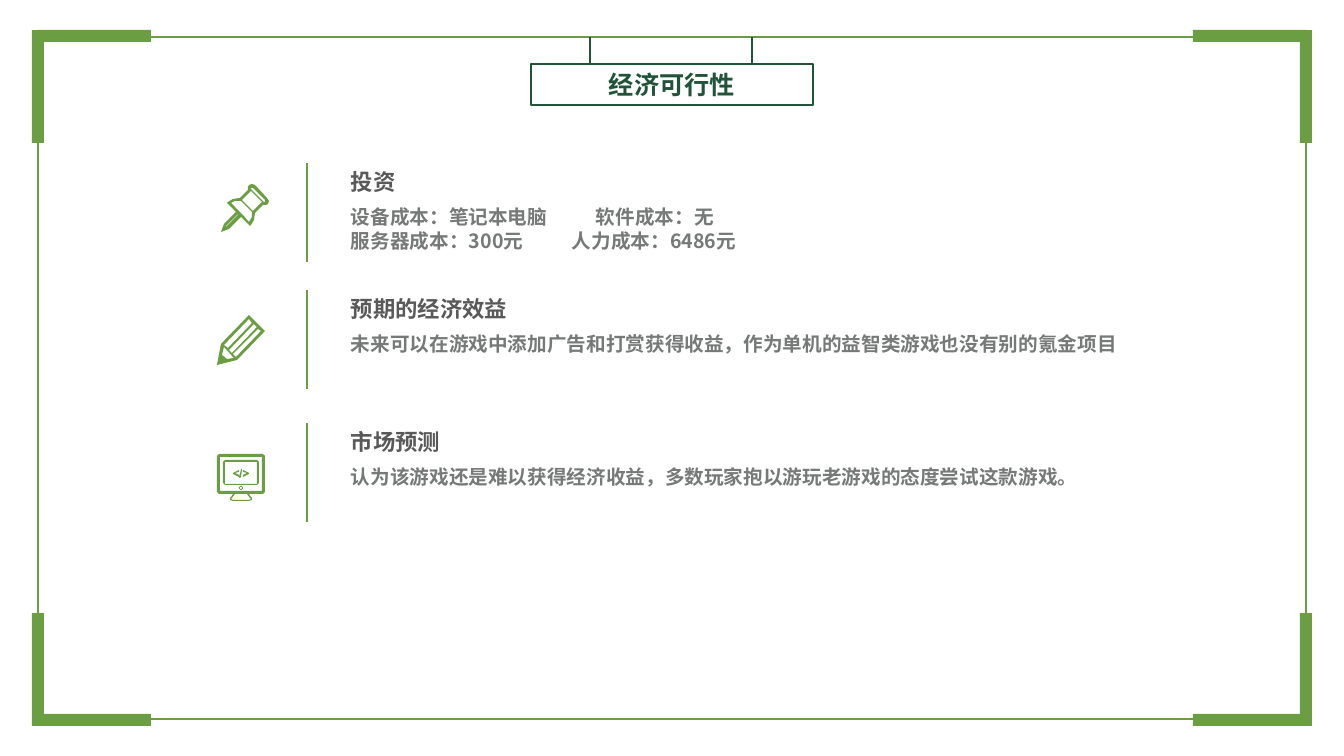
from math import cos, pi, sin

from lxml.etree import SubElement
from pptx import Presentation
from pptx.dml.color import RGBColor
from pptx.enum.shapes import MSO_CONNECTOR as CONNECTOR, MSO_SHAPE as SHAPE
from pptx.enum.text import MSO_ANCHOR as ANCHOR, PP_ALIGN as ALIGN
from pptx.oxml.ns import qn
from pptx.util import Pt


def rounded(left, top, right, bottom, radius):
    """Outline of a rounded rectangle as a list of points."""
    corners = [(right - radius, bottom - radius), (left + radius, bottom - radius),
               (left + radius, top + radius), (right - radius, top + radius)]
    return [(x + radius * cos((quarter + step / 4) * pi / 2),
             y + radius * sin((quarter + step / 4) * pi / 2))
            for quarter, (x, y) in enumerate(corners) for step in range(5)]


# Content
FONT = "Noto Sans CJK SC"
GREEN, DARK_GREEN, HEADING_GREY, BODY_GREY = "6B9D43", "205337", "595959", "757977"
TITLE = "经济可行性"

# Each icon: parts made of outlines, in px from the icon's corner
PIN = [[
    [(34, 29), (42, 21), (45, 21), (47, 20), (48, 17), (46, 14), (34, 1), (31, 0), (28, 1),
     (27, 3), (27, 6), (19, 14), (12, 15), (7, 18), (6, 19), (15, 28), (3, 40), (0, 48),
     (8, 45), (20, 33), (29, 42), (30, 41), (33, 36)],
    [(32, 4), (44, 16), (44, 18), (43, 18), (30, 5), (30, 4)],
    [(32, 27), (21, 16), (30, 7), (41, 18)],
    [(6, 42), (5, 43), (5, 42), (17, 30), (17, 31)],
    [(22, 31), (10, 19), (14, 17), (20, 17), (31, 28), (31, 33), (28, 38)],
]]
PENCIL = [[
    [(48, 16), (32, 0), (4, 29), (0, 50), (20, 45)],
    [(19, 42), (16, 39), (41, 14), (44, 16)],
    [(10, 44), (5, 40), (7, 32), (10, 35), (15, 41), (17, 43)],
    [(40, 12), (15, 38), (12, 35), (37, 9)],
    [(32, 4), (35, 8), (11, 33), (7, 30)],
]]
MONITOR = [
    [rounded(0, 0, 48, 40, 4), rounded(3, 3, 45, 37, 1)],
    [[(16, 40), (14, 43), (13, 44), (13, 46), (16, 47), (32, 47), (35, 46), (35, 44),
      (34, 43), (32, 40)],
     [(18, 40), (15, 44), (14, 45), (16, 46), (32, 46), (34, 45), (33, 44), (30, 40)]],
    [rounded(6, 6, 42, 31, 3), rounded(8, 8, 40, 30, 1)],
    [rounded(22, 32, 26, 36, 2), rounded(23, 33, 25, 35, 1)],
    [[(16, 20), (22, 23), (22, 21), (18, 19), (22, 18), (22, 16), (16, 19)]],
    [[(24, 15), (25, 15), (25, 16), (24, 23), (23, 24), (22, 23), (24, 16)]],
    [[(26, 18), (30, 19), (26, 21), (26, 23), (32, 20), (32, 19), (26, 16)]],
]

# Top, icon, icon corner, heading, body height, body lines with their tab stop
SECTIONS = [
    (163, PIN, (221, 184), "投资", 57,
     [("设备成本：笔记本电脑\t软件成本：无", 245), ("服务器成本：300元\t人力成本：6486元", 221)]),
    (290, PENCIL, (217, 315), "预期的经济效益", 34,
     [("未来可以在游戏中添加广告和打赏获得收益，作为单机的益智类游戏也没有别的氪金项目", 0)]),
    (423, MONITOR, (217, 454), "市场预测", 34,
     [("认为该游戏还是难以获得经济收益，多数玩家抱以游玩老游戏的态度尝试这款游戏。", 0)]),
]

# Layout in px
SCALE = 914400 / 100.8
FRAME = (38, 37, 1268, 682)
BAR_LENGTH, BAR_WIDTH = 113, 12
TITLE_BOX = (531, 64, 282, 41)
STEMS = (590, 752)
RULE_X, RULE_HEIGHT = 307, 99
TEXT_X, HEADING_WIDTH, BODY_WIDTH, HEADING_HEIGHT = 341, 208, 797, 37


def px(length):
    return round(length * SCALE)


def color(value):
    return RGBColor.from_string(value)


def paint(shape, fill=None, line=None, width=1):
    shape.shadow.inherit = False
    if fill:
        shape.fill.solid()
        shape.fill.fore_color.rgb = color(fill)
    else:
        shape.fill.background()
    if line:
        shape.line.color.rgb = color(line)
        shape.line.width = Pt(width)
    else:
        shape.line.fill.background()


def add_box(box, **style):
    shape = slide.shapes.add_shape(SHAPE.RECTANGLE, *map(px, box))
    paint(shape, **style)
    return shape


def add_vertical(x, top, bottom, line, width):
    rule = slide.shapes.add_connector(CONNECTOR.STRAIGHT, px(x), px(top), px(x), px(bottom))
    rule.line.color.rgb = color(line)
    rule.line.width = Pt(width)
    SubElement(rule._element.spPr, qn("a:effectLst"))


def write(paragraph, text, size, ink):
    paragraph.text = text
    for run in paragraph.runs:
        font = run.font
        font.size, font.bold, font.name = Pt(size), True, FONT
        font.color.rgb = color(ink)
        SubElement(run._r.get_or_add_rPr(), qn("a:ea"), typeface=FONT)


def add_text(box, lines, size, ink):
    frame = slide.shapes.add_textbox(*map(px, box)).text_frame
    frame.word_wrap = True
    for index, (text, tab) in enumerate(lines):
        paragraph = frame.add_paragraph() if index else frame.paragraphs[0]
        write(paragraph, text, size, ink)
        if tab:
            tabs = SubElement(paragraph._p.get_or_add_pPr(), qn("a:tabLst"))
            SubElement(tabs, qn("a:tab"), pos=str(px(tab)), algn="l")


def add_icon(parts, corner):
    left, top = map(px, corner)
    for outlines in parts:
        (x, y), *rest = outlines[0]
        builder = slide.shapes.build_freeform(x, y, scale=SCALE)
        builder.add_line_segments(rest)
        for (x, y), *rest in outlines[1:]:
            builder.move_to(x, y)
            builder.add_line_segments(rest)
        paint(builder.convert_to_shape(left, top), fill=GREEN)


deck = Presentation()
deck.slide_width, deck.slide_height = px(1344), px(756)
slide = deck.slides.add_slide(deck.slide_layouts[6])

# Frame with a pair of bars at each corner
add_box(FRAME, line=GREEN, width=1.5)
left, top, width, height = FRAME
outer_top, outer_bottom = top - 7, top + height + 7
for bar_x, side_x in ((left, left), (left + width - BAR_LENGTH, left + width)):
    for bar_y, side_y in ((outer_top, outer_top),
                          (outer_bottom - BAR_WIDTH, outer_bottom - BAR_LENGTH)):
        add_box((bar_x, bar_y, BAR_LENGTH, BAR_WIDTH), fill=GREEN)
        add_box((side_x - BAR_WIDTH / 2, side_y, BAR_WIDTH, BAR_LENGTH), fill=GREEN)

# Title hanging from the frame
sign = add_box(TITLE_BOX, line=DARK_GREEN).text_frame
sign.vertical_anchor = ANCHOR.MIDDLE
write(sign.paragraphs[0], TITLE, 18, DARK_GREEN)
sign.paragraphs[0].alignment = ALIGN.CENTER
for stem_x in STEMS:
    add_vertical(stem_x, top, TITLE_BOX[1], DARK_GREEN, 1)

# Sections: icon, rule, heading, body
for section_top, icon, corner, heading, body_height, body in SECTIONS:
    add_icon(icon, corner)
    add_vertical(RULE_X, section_top, section_top + RULE_HEIGHT, GREEN, 1.5)
    add_text((TEXT_X, section_top, HEADING_WIDTH, HEADING_HEIGHT), [(heading, 0)],
             16, HEADING_GREY)
    add_text((TEXT_X, section_top + HEADING_HEIGHT, BODY_WIDTH, body_height), body,
             14, BODY_GREY)

deck.save("out.pptx")
